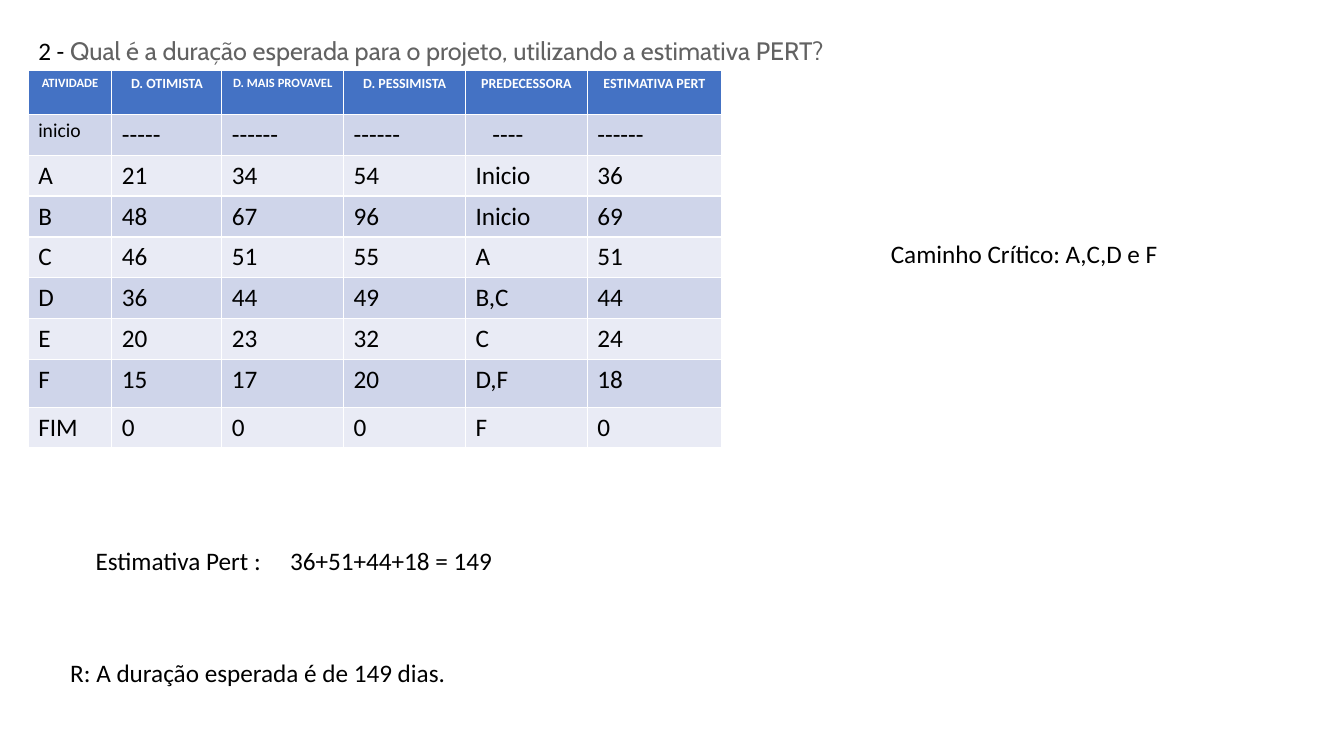
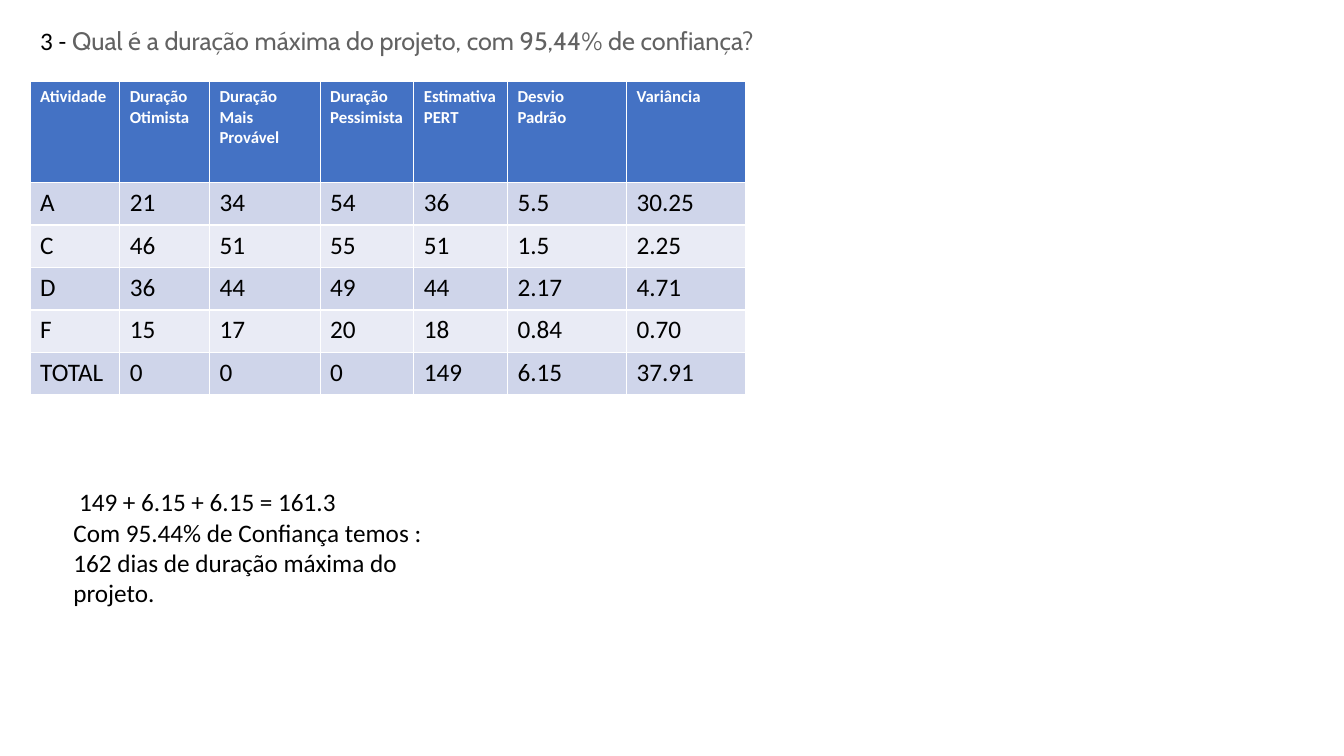
import pptx
import pptx.dml.color
import pptx.enum.text
import pptx.oxml
import pptx.oxml.ns
import pptx.util
from pptx.util import Cm, Pt

BLACK = pptx.dml.color.RGBColor(0x00, 0x00, 0x00)
WHITE = pptx.dml.color.RGBColor(0xFF, 0xFF, 0xFF)
GREY = pptx.dml.color.RGBColor(0x62, 0x62, 0x62)
HEADER_BLUE = pptx.dml.color.RGBColor(0x44, 0x72, 0xC4)
BAND_DARK = pptx.dml.color.RGBColor(0xCF, 0xD5, 0xEA)
BAND_LIGHT = pptx.dml.color.RGBColor(0xE9, 0xEB, 0xF5)

BODY_FONT = "Calibri"
TITLE_FONT = "Cabin"
BODY_SIZE = 18
LEFT = pptx.enum.text.PP_ALIGN.LEFT
CENTER = pptx.enum.text.PP_ALIGN.CENTER

PERT_HEADERS = ["ATIVIDADE", "D. OTIMISTA", "D. MAIS PROVAVEL",
                "D. PESSIMISTA", "PREDECESSORA", "ESTIMATIVA PERT"]
PERT_HEADER_SIZES = [9, 10, 9, 10, 10, 10]
PERT_ROWS = [
    ["inicio", "-----", "------", "------", "----", "------"],
    ["A", "21", "34", "54", "Inicio", "36"],
    ["B", "48", "67", "96", "Inicio", "69"],
    ["C", "46", "51", "55", "A", "51"],
    ["D", "36", "44", "49", "B,C", "44"],
    ["E", "20", "23", "32", "C", "24"],
    ["F", "15", "17", "20", "D,F", "18"],
    ["FIM", "0", "0", "0", "F", "0"],
]
VARIANCE_HEADERS = ["Atividade", "Duração\nOtimista", "Duração Mais Provável",
                    "Duração Pessimista", "Estimativa PERT",
                    "Desvio Padrão", "Variância"]
VARIANCE_ROWS = [
    ["A", "21", "34", "54", "36", "5.5", "30.25"],
    ["C", "46", "51", "55", "51", "1.5", "2.25"],
    ["D", "36", "44", "49", "44", "2.17", "4.71"],
    ["F", "15", "17", "20", "18", "0.84", "0.70"],
    ["TOTAL", "0", "0", "0", "149", "6.15", "37.91"],
]


def style_font(font, size=BODY_SIZE, color=BLACK, name=BODY_FONT, bold=False):
    font.size = Pt(size)
    font.color.rgb = color
    font.name = name
    font.bold = bold


def add_question_slide(presentation, number, question, left, top, width):
    slide = presentation.slides.add_slide(presentation.slide_layouts[5])
    title = slide.shapes.title
    title.left, title.top, title.width, title.height = (
        Cm(left), Cm(top), Cm(width), Cm(1.02))
    frame = title.text_frame
    frame.word_wrap = True
    frame.auto_size = pptx.enum.text.MSO_AUTO_SIZE.NONE
    frame.vertical_anchor = pptx.enum.text.MSO_ANCHOR.TOP
    paragraph = frame.paragraphs[0]
    paragraph.alignment = LEFT
    for text, color, name in ((f"{number} - ", BLACK, BODY_FONT),
                              (question, GREY, TITLE_FONT)):
        run = paragraph.add_run()
        run.text = text
        style_font(run.font, color=color, name=name)
    return slide


def add_text(slide, text, left, top, width, height=1.02):
    box = slide.shapes.add_textbox(Cm(left), Cm(top), Cm(width), Cm(height))
    frame = box.text_frame
    frame.word_wrap = True
    frame.text = text
    for paragraph in frame.paragraphs:
        style_font(paragraph.font)
    return box


def add_tab_stop(paragraph, position):
    properties = paragraph._p.get_or_add_pPr()
    tabs = pptx.oxml.parse_xml(
        f'<a:tabLst {pptx.oxml.ns.nsdecls("a")}>'
        f'<a:tab pos="{Cm(position)}" algn="l"/></a:tabLst>')
    properties.insert(0, tabs)


def fill_cell(cell, text, fill, alignment=LEFT, **font_style):
    cell.fill.solid()
    cell.fill.fore_color.rgb = fill
    cell.text = text
    for paragraph in cell.text_frame.paragraphs:
        paragraph.alignment = alignment
        style_font(paragraph.font, **font_style)


def add_banded_table(slide, headers, rows, left, top, column_widths,
                     row_heights, header_sizes, header_alignment):
    frame = slide.shapes.add_table(
        len(rows) + 1, len(headers), Cm(left), Cm(top),
        Cm(sum(column_widths)), Cm(sum(row_heights)))
    table = frame.table
    for column, width in zip(table.columns, column_widths):
        column.width = Cm(width)
    for row, height in zip(table.rows, row_heights):
        row.height = Cm(height)
    for index, (header, size) in enumerate(zip(headers, header_sizes)):
        fill_cell(table.cell(0, index), header, HEADER_BLUE, header_alignment,
                  size=size, color=WHITE, bold=True)
    for row_index, values in enumerate(rows, start=1):
        band = BAND_DARK if row_index % 2 else BAND_LIGHT
        for column_index, value in enumerate(values):
            fill_cell(table.cell(row_index, column_index), value, band)
    return table


def build_expected_duration(presentation):
    slide = add_question_slide(
        presentation, 2,
        "Qual é a duração esperada para o projeto, utilizando a estimativa PERT?",
        0.71, 0.76, 21.5)
    table = add_banded_table(
        slide, PERT_HEADERS, PERT_ROWS, 0.71, 1.78,
        [2.11, 2.77, 3.07, 3.07, 3.07, 3.38],
        [1.1, 1] + [1.02] * 5 + [1.2, 1.02],
        PERT_HEADER_SIZES, CENTER)
    table.cell(1, 0).text_frame.paragraphs[0].font.size = Pt(14)
    table.cell(1, 4).margin_left = Cm(0.68)
    add_text(slide, "Caminho Crítico: A,C,D e F", 22.2, 5.87, 7.32)
    sum_box = add_text(slide, "Estimativa Pert :\t36+51+44+18 = 149",
                       2.16, 13.61, 13.84)
    add_tab_stop(sum_box.text_frame.paragraphs[0], 4.9)
    add_text(slide, "R: A duração esperada é de 149 dias.", 1.52, 16.43, 10.08)


def build_maximum_duration(presentation):
    slide = add_question_slide(
        presentation, 3,
        "Qual é a duração máxima do projeto, com 95,44% de confiança?",
        0.76, 0.51, 19.46)
    add_banded_table(
        slide, VARIANCE_HEADERS, VARIANCE_ROWS, 0.76, 2.06,
        [2.26, 2.26, 2.79, 2.36, 2.36, 3, 3],
        [2.54] + [1.07] * len(VARIANCE_ROWS),
        [12] * len(VARIANCE_HEADERS), LEFT)
    add_text(slide,
             " 149 + 6.15 + 6.15 = 161.3\n"
             "Com 95.44% de Confiança temos : 162 dias de duração máxima "
             "do projeto.",
             1.6, 12.14, 10.26, 3.33)


def main():
    presentation = pptx.Presentation()
    presentation.slide_width = Cm(33.87)
    presentation.slide_height = Cm(19.05)
    build_expected_duration(presentation)
    build_maximum_duration(presentation)
    presentation.save("out.pptx")


main()
